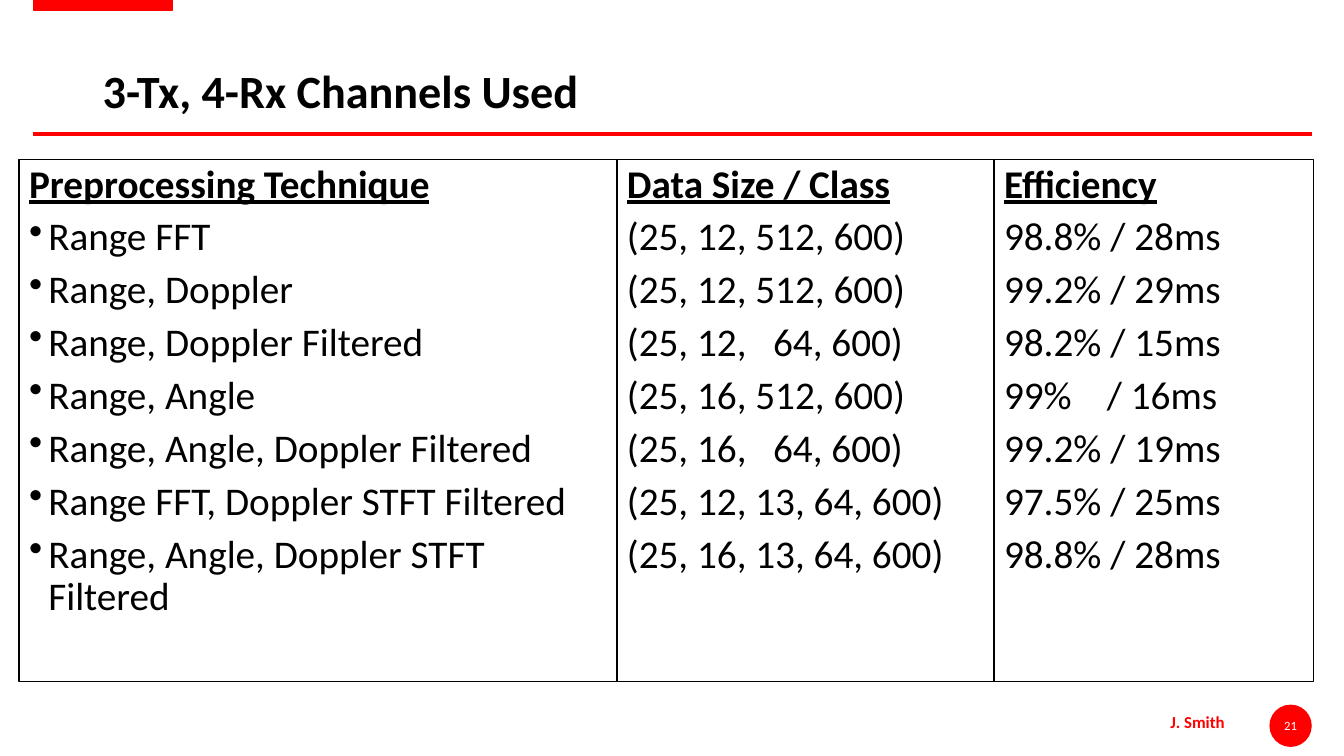
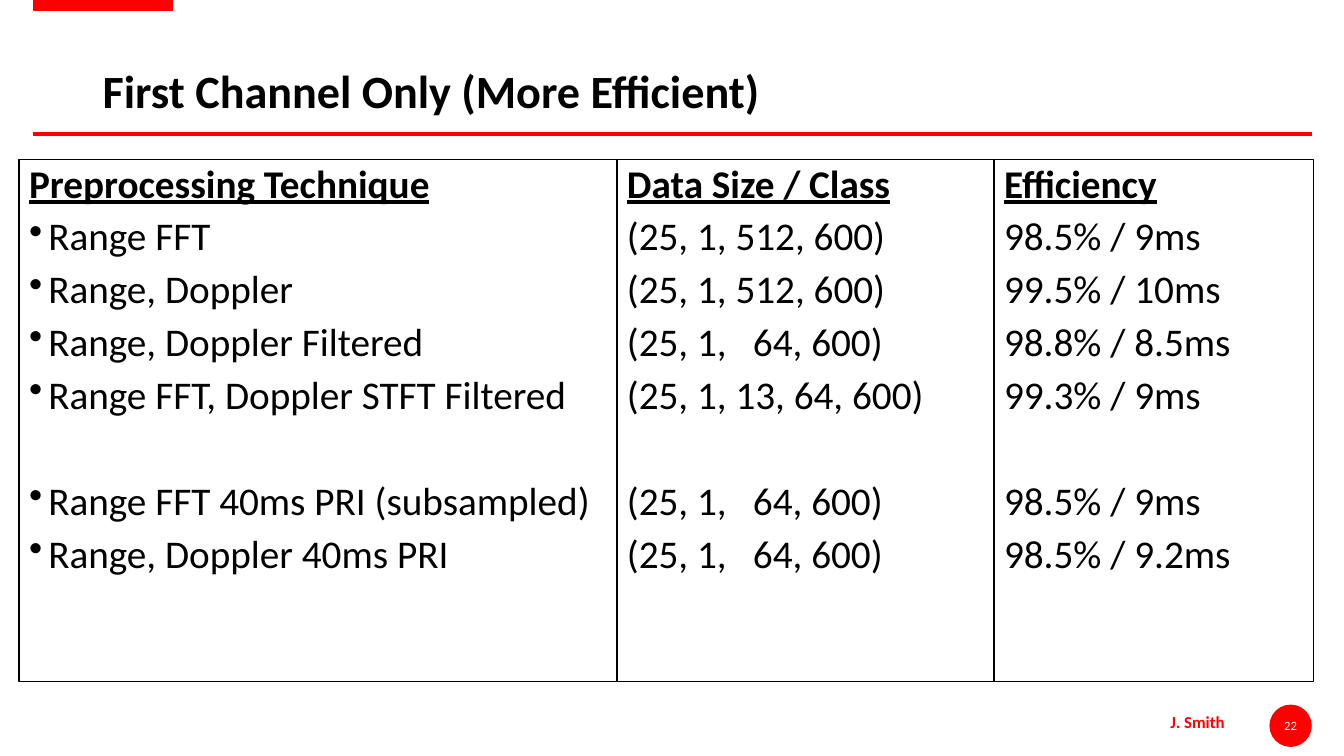
from lxml import etree
from pptx import Presentation
from pptx.dml.color import RGBColor
from pptx.enum.shapes import MSO_CONNECTOR, MSO_SHAPE
from pptx.enum.text import MSO_ANCHOR, PP_ALIGN
from pptx.oxml.ns import qn
from pptx.util import Inches, Pt

RED = RGBColor(0xFF, 0x00, 0x00)
BLACK = RGBColor(0x00, 0x00, 0x00)
WHITE = RGBColor(0xFF, 0xFF, 0xFF)
RECTANGLE, OVAL = MSO_SHAPE.RECTANGLE, MSO_SHAPE.OVAL
STRAIGHT = MSO_CONNECTOR.STRAIGHT
LEFT, CENTER = PP_ALIGN.LEFT, PP_ALIGN.CENTER
TOP, MIDDLE = MSO_ANCHOR.TOP, MSO_ANCHOR.MIDDLE

FONT = "Calibri"
AUTHOR = "J. Smith"
HEADERS = ("Preprocessing Technique", "Data Size / Class", "Efficiency")
COLUMN_EDGES = (1.43, 45.91, 73.97, 97.75)
COLUMN_TOP, COLUMN_HEIGHT = 21.07, 69.07
RULE_LEFT, RULE_RIGHT, RULE_TOP = 2.48, 97.6, 17.73
ROW_SPACE, GROUP_SPACE = 7.5, 45.5
BULLET_INDENT = Inches(0.19)


class Deck:
    def __init__(self):
        self.presentation = Presentation()
        self.presentation.slide_width = Inches(13.33)
        self.presentation.slide_height = Inches(7.5)
        self.slide = None

    def across(self, percent):
        return round(self.presentation.slide_width * percent / 100)

    def down(self, percent):
        return round(self.presentation.slide_height * percent / 100)

    def place(self, left, top, width, height):
        return self.across(left), self.down(top), self.across(width), self.down(height)

    def shape(self, kind, box, fill, line=None):
        shape = self.slide.shapes.add_shape(kind, *self.place(*box))
        shape.shadow.inherit = False
        shape.fill.solid()
        shape.fill.fore_color.rgb = fill
        if line is None:
            shape.line.fill.background()
        else:
            shape.line.color.rgb = line
            shape.line.width = Pt(1)
        return shape

    def rule(self):
        top = self.down(RULE_TOP)
        rule = self.slide.shapes.add_connector(
            STRAIGHT, self.across(RULE_LEFT), top, self.across(RULE_RIGHT), top)
        rule.line.color.rgb = RED
        rule.line.width = Pt(3)
        etree.SubElement(rule._element.spPr, qn("a:effectLst"))

    def style_text(self, paragraph, text, size, color=BLACK, bold=False, align=LEFT):
        paragraph.text = text
        paragraph.alignment = align
        font = paragraph.font
        font.name, font.size, font.bold = FONT, Pt(size), bold
        font.color.rgb = color

    def text(self, box, text, size, color, anchor, wrap=True):
        frame = self.slide.shapes.add_textbox(*self.place(*box)).text_frame
        frame.word_wrap = wrap
        frame.vertical_anchor = anchor
        self.style_text(frame.paragraphs[0], text, size, color, bold=True)

    def page_number(self, number):
        frame = self.shape(OVAL, (94.45, 93.2, 3.15, 5.6), RED).text_frame
        frame.margin_left = frame.margin_right = 0
        frame.margin_top = frame.margin_bottom = 0
        frame.vertical_anchor = MIDDLE
        self.style_text(frame.paragraphs[0], str(number), 9, WHITE, align=CENTER)

    def start(self, title, number):
        layout = self.presentation.slide_layouts[6]
        self.slide = self.presentation.slides.add_slide(layout)
        self.shape(RECTANGLE, (RULE_LEFT, 0, 10.35, 1.33), RED, RED)
        self.rule()
        self.text((86.35, 93.47, 5.63, 4), AUTHOR, 12, RED, TOP, wrap=False)
        self.page_number(number)
        self.text((6.9, 5.33, 86.27, 13.2), title, 33, BLACK, MIDDLE)

    def bullet(self, paragraph):
        properties = paragraph._p.get_or_add_pPr()
        properties.set("marL", str(BULLET_INDENT))
        properties.set("indent", str(-BULLET_INDENT))
        etree.SubElement(properties, qn("a:buChar"), char="•")

    def tab_stop(self, paragraph, position):
        tabs = etree.SubElement(paragraph._p.get_or_add_pPr(), qn("a:tabLst"))
        etree.SubElement(tabs, qn("a:tab"), pos=str(Inches(position)), algn="l")

    def column(self, index, groups, tab):
        left, right = COLUMN_EDGES[index:index + 2]
        box = (left, COLUMN_TOP, right - left, COLUMN_HEIGHT)
        frame = self.shape(RECTANGLE, box, WHITE, BLACK).text_frame
        frame.word_wrap = True
        frame.vertical_anchor = TOP
        header = frame.paragraphs[0]
        self.style_text(header, HEADERS[index], 28, bold=True)
        header.font.underline = True
        header.line_spacing = 0.9
        for group_index, group in enumerate(groups):
            for row_index, row in enumerate(group):
                paragraph = frame.add_paragraph()
                if index == 0:
                    self.bullet(paragraph)
                if "\t" in row[index]:
                    self.tab_stop(paragraph, tab)
                self.style_text(paragraph, row[index], 28)
                paragraph.line_spacing = 0.9
                new_group = group_index > 0 and row_index == 0
                paragraph.space_before = Pt(GROUP_SPACE if new_group else ROW_SPACE)

    def results(self, title, number, groups, tabs):
        self.start(title, number)
        for index, tab in enumerate(tabs):
            self.column(index, groups, tab)


ALL_CHANNELS = [[
    ("Range FFT", "(25, 12, 512, 600)", "98.8% / 28ms"),
    ("Range, Doppler", "(25, 12, 512, 600)", "99.2% / 29ms"),
    ("Range, Doppler Filtered", "(25, 12,\t64, 600)", "98.2% / 15ms"),
    ("Range, Angle", "(25, 16, 512, 600)", "99%\t/ 16ms"),
    ("Range, Angle, Doppler Filtered", "(25, 16,\t64, 600)", "99.2% / 19ms"),
    ("Range FFT, Doppler STFT Filtered", "(25, 12, 13, 64, 600)", "97.5% / 25ms"),
    ("Range, Angle, Doppler STFT Filtered", "(25, 16, 13, 64, 600)", "98.8% / 28ms"),
]]
FIRST_CHANNEL = [[
    ("Range FFT", "(25, 1, 512, 600)", "98.5% / 9ms"),
    ("Range, Doppler", "(25, 1, 512, 600)", "99.5% / 10ms"),
    ("Range, Doppler Filtered", "(25, 1,\t64, 600)", "98.8% / 8.5ms"),
    ("Range FFT, Doppler STFT Filtered", "(25, 1, 13, 64, 600)", "99.3% / 9ms"),
], [
    ("Range FFT 40ms PRI (subsampled)", "(25, 1,\t64, 600)", "98.5% / 9ms"),
    ("Range, Doppler 40ms PRI", "(25, 1,\t64, 600)", "98.5% / 9.2ms"),
]]


def main():
    deck = Deck()
    deck.results("3-Tx, 4-Rx Channels Used", 21, ALL_CHANNELS, (0, 1.45, 1.02))
    deck.results("First Channel Only (More Efficient)", 22, FIRST_CHANNEL, (0, 1.25, 1.02))
    deck.presentation.save("out.pptx")


if __name__ == "__main__":
    main()
